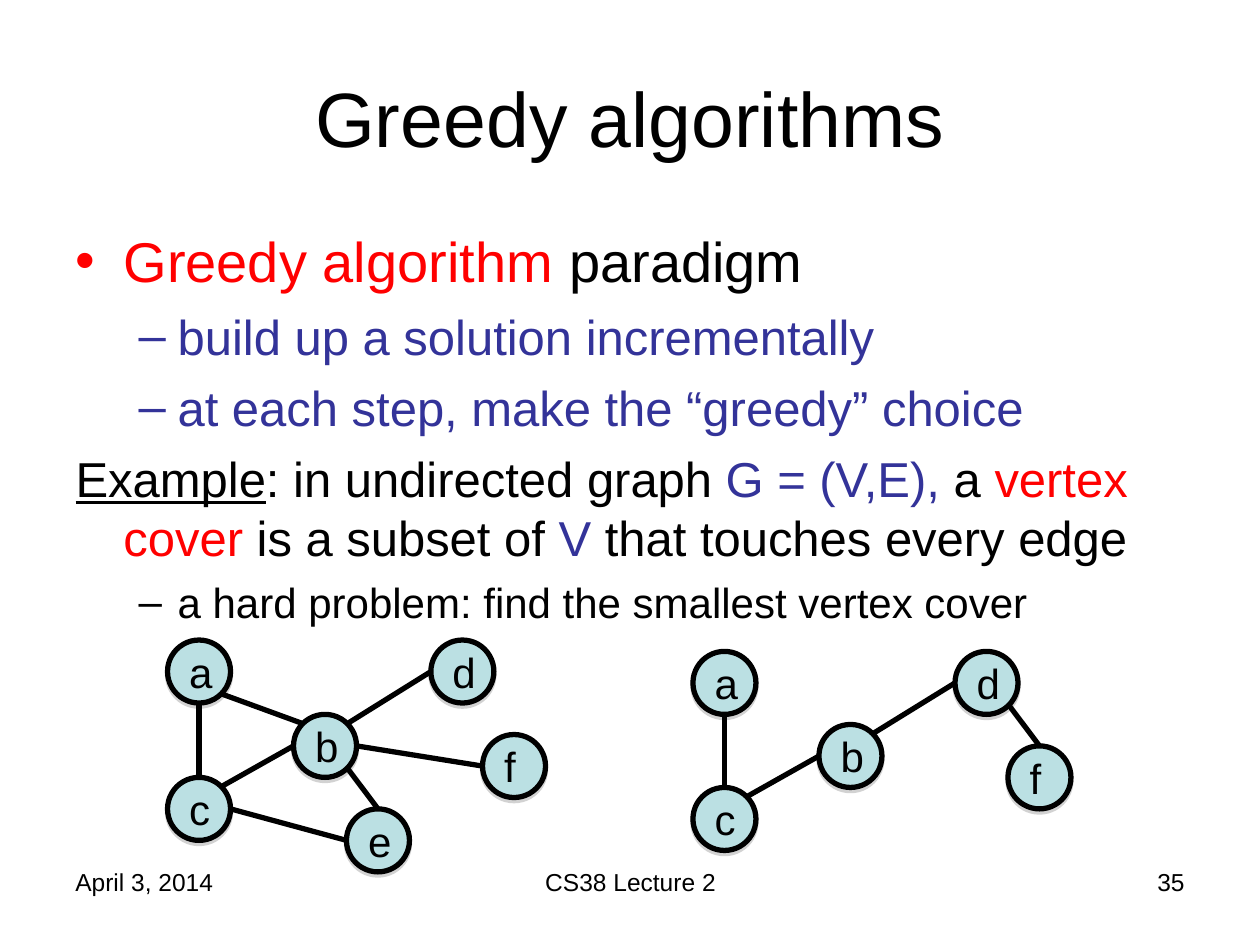
from math import cos, radians, sin

from lxml.etree import SubElement
from pptx import Presentation
from pptx.dml.color import RGBColor as RGB
from pptx.enum.shapes import MSO_CONNECTOR as LINK, MSO_SHAPE as SHAPE
from pptx.enum.text import MSO_ANCHOR as ANCHOR, MSO_AUTO_SIZE as FIT, PP_ALIGN as ALIGN
from pptx.oxml.ns import qn
from pptx.util import Inches, Pt

BLACK = RGB(0x00, 0x00, 0x00)
RED = RGB(0xFF, 0x00, 0x00)
BLUE = RGB(0x33, 0x33, 0x99)
AQUA = RGB(0xBB, 0xE0, 0xE3)
GRAY = RGB(0x80, 0x80, 0x80)

SIZE = 0.5  # node diameter
ANGLE = {"E": 0, "SE": 45, "S": 90, "SW": 135, "W": 180, "NW": 225, "N": 270, "NE": 315}

# Each item: level, size, space before, bullet, bullet colour, runs (text, colour, underline)
ITEMS = [
    (0, 32, 0, "•", RED, [("Greedy algorithm ", RED, False), ("paradigm", BLACK, False)]),
    (1, 28, 7, "–", BLUE, [("build up a solution incrementally", BLUE, False)]),
    (1, 28, 7, "–", BLUE, [("at each step, make the “greedy” choice", BLUE, False)]),
    (0, 28, 7, None, None, [
        ("Example", BLACK, True),
        (": in undirected graph ", BLACK, False),
        ("G = (V,E),", BLUE, False),
        (" a ", BLACK, False),
        ("vertex cover", RED, False),
        (" is a subset of ", BLACK, False),
        ("V", BLUE, False),
        (" that touches every edge", BLACK, False),
    ]),
    (1, 24, 6, "–", BLACK, [("a hard problem: find the smallest vertex cover", BLACK, False)]),
]
INDENT = [(0.38, -0.38), (0.81, -0.31)]

# Each graph: node places (left, top), then edges as (node, side, node, side)
GRAPHS = [
    ({"a": (1.33, 5.08), "b": (2.33, 5.67), "c": (1.33, 6.17),
      "d": (3.42, 5.08), "f": (3.83, 5.83), "e": (2.75, 6.42)},
     ["a SE b NW", "a S c N", "c NE b W", "c E e W", "b NE d W", "b E f W", "b SE e N"]),
    ({"a": (5.5, 5.17), "b": (6.5, 5.75), "c": (5.5, 6.25),
      "d": (7.58, 5.17), "f": (8, 5.92)},
     ["a S c N", "c NE b W", "b NE d W", "f N d SE"]),
]

FOOTER = [
    ("April 3, 2014", 0.5, 2.33, ALIGN.LEFT),
    ("CS38 Lecture 2", 3.42, 3.17, ALIGN.CENTER),
    ("35", 7.17, 2.33, ALIGN.RIGHT),
]


class Deck:
    font = "Arial"
    stroke = Pt(3)

    def __init__(self):
        self.prs = Presentation()
        self.prs.slide_width, self.prs.slide_height = Inches(10), Inches(7.5)
        self.slide = self.prs.slides.add_slide(self.prs.slide_layouts[1])

    def place(self, shape, left, top, width, height):
        shape.left, shape.top = Inches(left), Inches(top)
        shape.width, shape.height = Inches(width), Inches(height)

    def run(self, para, text, size, color=BLACK, under=False):
        run = para.add_run()
        run.text = text
        font = run.font
        font.name, font.size = self.font, Pt(size)
        font.color.rgb = color
        if under:
            font.underline = True

    def title(self, text):
        shape = self.slide.shapes.title
        self.place(shape, 0.5, 0.3, 9, 1.25)
        frame = shape.text_frame
        frame.auto_size = FIT.NONE
        frame.vertical_anchor = ANCHOR.MIDDLE
        para = frame.paragraphs[0]
        para.alignment = ALIGN.CENTER
        self.run(para, text, 44)

    def bullet(self, para, level, mark, color):
        props = para._p.get_or_add_pPr()
        left, first = INDENT[level]
        props.set("marL", str(Inches(left)))
        props.set("indent", str(Inches(first)))
        if mark is None:
            SubElement(props, qn("a:buNone"))
            return
        tint = SubElement(props, qn("a:buClr"))
        SubElement(tint, qn("a:srgbClr"), val=str(color))
        SubElement(props, qn("a:buFont"), typeface=self.font)
        SubElement(props, qn("a:buChar"), char=mark)

    def body(self, items):
        shape = self.slide.placeholders[1]
        self.place(shape, 0.5, 1.75, 9, 4.95)
        frame = shape.text_frame
        frame.auto_size = FIT.NONE
        for i, (level, size, space, mark, color, runs) in enumerate(items):
            para = frame.add_paragraph() if i else frame.paragraphs[0]
            para.level = level
            self.bullet(para, level, mark, color)
            para.space_before = Pt(space)
            for text, tint, under in runs:
                self.run(para, text, size, tint, under)

    def label(self, text, left, width, align):
        box = self.slide.shapes.add_textbox(
            Inches(left), Inches(6.83), Inches(width), Inches(0.52))
        box.text_frame.word_wrap = True
        para = box.text_frame.paragraphs[0]
        para.alignment = align
        self.run(para, text, 14)

    def shade(self, shape):
        """Give the shape a faint drop shadow straight below it."""
        fx = SubElement(shape._element.spPr, qn("a:effectLst"))
        drop = SubElement(fx, qn("a:outerShdw"), blurRad="0", dist=str(Pt(1.8)),
                          dir="5400000", rotWithShape="0")
        tint = SubElement(drop, qn("a:srgbClr"), val=str(GRAY))
        SubElement(tint, qn("a:alpha"), val="35000")

    def node(self, name, left, top):
        shape = self.slide.shapes.add_shape(
            SHAPE.OVAL, Inches(left), Inches(top), Inches(SIZE), Inches(SIZE))
        shape.fill.solid()
        shape.fill.fore_color.rgb = AQUA
        shape.line.color.rgb = BLACK
        shape.line.width = self.stroke
        self.shade(shape)
        frame = shape.text_frame
        frame.vertical_anchor = ANCHOR.MIDDLE
        para = frame.paragraphs[0]
        para.alignment = ALIGN.LEFT
        self.run(para, name, 24)

    def rim(self, spot, side):
        """Return the point on a node's rim that faces the given side."""
        turn = radians(ANGLE[side])
        return [Inches(edge + SIZE / 2 * (1 + part))
                for edge, part in zip(spot, (cos(turn), sin(turn)))]

    def edge(self, start, end):
        line = self.slide.shapes.add_connector(LINK.STRAIGHT, *start, *end)
        line.line.color.rgb = BLACK
        line.line.width = self.stroke
        SubElement(line._element.spPr, qn("a:effectLst"))

    def graph(self, nodes, edges):
        for name, spot in nodes.items():
            self.node(name, *spot)
        for edge in edges:
            tail, out, head, into = edge.split()
            self.edge(self.rim(nodes[tail], out), self.rim(nodes[head], into))


def main():
    deck = Deck()
    deck.title("Greedy algorithms")
    deck.body(ITEMS)
    for note in FOOTER:
        deck.label(*note)
    for nodes, edges in GRAPHS:
        deck.graph(nodes, edges)
    deck.prs.save("out.pptx")


if __name__ == "__main__":
    main()
